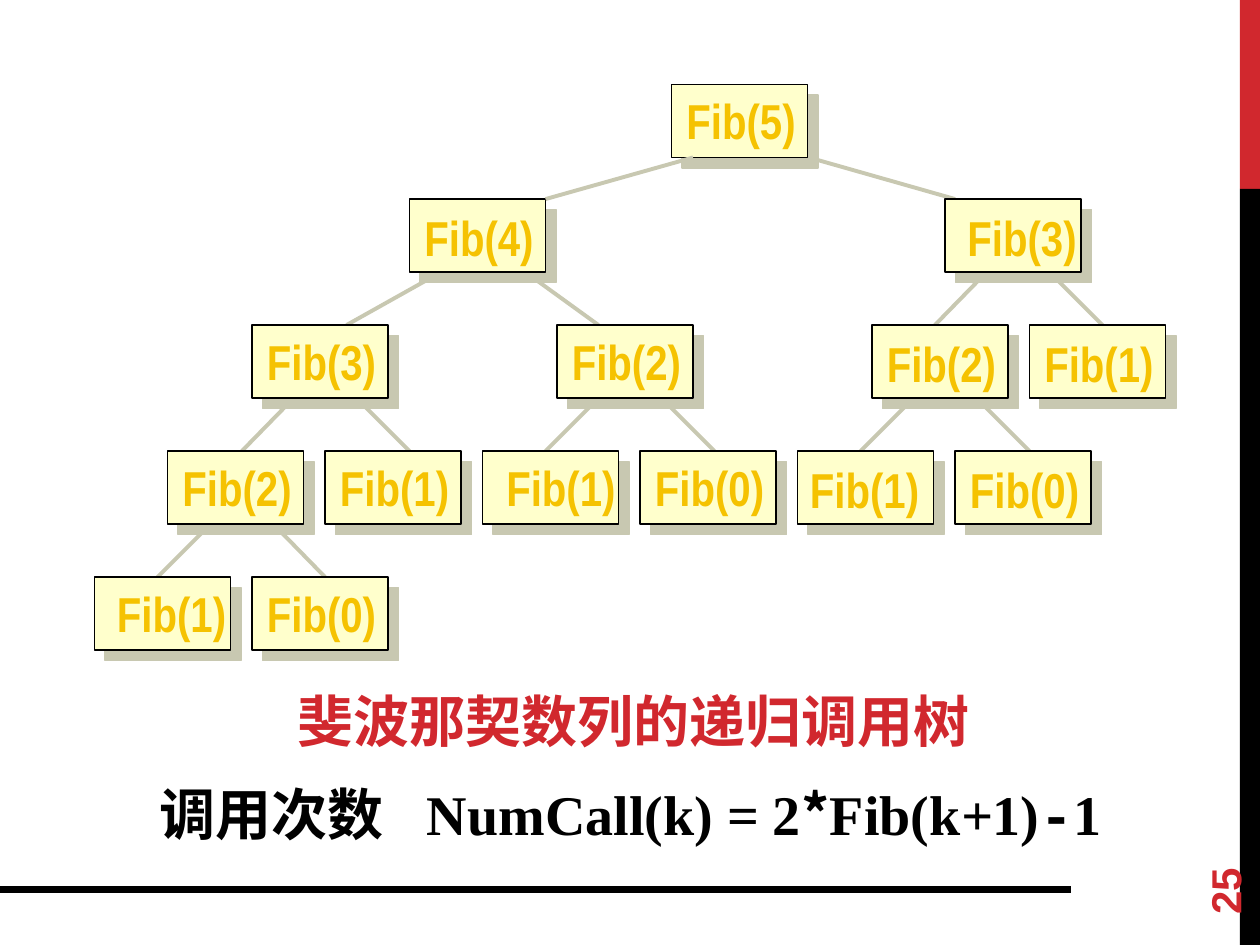
from dataclasses import dataclass
from typing import NamedTuple

from lxml.etree import SubElement
from pptx import Presentation
from pptx.dml.color import RGBColor
from pptx.enum.shapes import MSO_CONNECTOR, MSO_SHAPE
from pptx.enum.text import MSO_ANCHOR, MSO_AUTO_SIZE, PP_ALIGN
from pptx.oxml.ns import qn
from pptx.util import Inches, Pt


@dataclass(frozen=True)
class Theme:
    """Colours, fonts and sizes of the slide."""
    red: str = "D1282E"
    black: str = "000000"
    cream: str = "FFFFCC"
    gold: str = "F5C201"
    stone: str = "C8C8B1"
    sans: str = "Arial"
    narrow: str = "Arial Narrow"
    serif: str = "Times New Roman"
    mono: str = "Courier New"
    chinese: str = "Noto Sans CJK SC"
    number_size: int = 24
    node_size: int = 28
    text_size: int = 32
    gap_size: int = 36
    outline: float = 0.75
    branch: float = 2.25
    rule: float = 4.5
    shadow_distance: float = 8.5
    shadow_angle: int = 45


class Node(NamedTuple):
    """One call in the tree, with its label offset and incoming branch."""
    number: int
    row: int
    left: float
    label_shift: tuple = (0.02, 0)
    branch: tuple = ()


ROW_TOPS = (0.67, 1.58, 2.58, 3.58, 4.58)
NODE_WIDTH, NODE_HEIGHT = 1.08, 0.58
NODES = (
    Node(5, 0, 5.33),
    Node(4, 1, 3.25, (0.02, 0.02), (5.5, 4.33)),
    Node(3, 1, 7.5, (0.08, 0.02), (6.42, 7.58)),
    Node(3, 2, 2, branch=(3.5, 2.75)),
    Node(2, 2, 4.42, branch=(4.17, 4.75)),
    Node(2, 2, 6.92, (0.02, 0.02), (7.83, 7.42)),
    Node(1, 2, 8.17, (0.02, 0.02), (8.33, 8.75)),
    Node(2, 3, 1.33, branch=(2.33, 1.92)),
    Node(1, 3, 2.58, branch=(2.83, 3.25)),
    Node(1, 3, 3.83, (0.09, 0), (4.75, 4.33)),
    Node(0, 3, 5.08, branch=(5.25, 5.67)),
    Node(1, 3, 6.33, (0, 0.02), (7.25, 6.83)),
    Node(0, 3, 7.58, (0.02, 0.02), (7.75, 8.17)),
    Node(1, 4, 0.75, (0.08, 0), (1.67, 1.25)),
    Node(0, 4, 2, branch=(2.17, 2.58)),
)


def apply(target, values):
    """Set each named attribute on the target."""
    for name, value in values.items():
        setattr(target, name, value)


class SlideBuilder:
    """Holds the theme and the current slide."""

    def __init__(self, slide, theme):
        self.slide = slide
        self.theme = theme

    def styled_run(self, paragraph, text, **values):
        """Add a bold run in the given format."""
        style = {"size": self.theme.text_size, "color": self.theme.black,
                 "name": self.theme.serif, "bold": True, "italic": False} | values
        run = paragraph.add_run()
        run.text = text
        run.font.color.rgb = RGBColor.from_string(style.pop("color"))
        apply(run.font, style | {"size": Pt(style["size"])})
        SubElement(run.font._element, qn("a:ea"), typeface=self.theme.chinese)

    def title(self, box, text):
        """Place and format the title."""
        shape = self.slide.shapes.title
        apply(shape, dict(zip(("left", "top", "width", "height"), map(Inches, box))))
        apply(shape.text_frame, {"word_wrap": True, "vertical_anchor": MSO_ANCHOR.TOP,
                                 "auto_size": MSO_AUTO_SIZE.SHAPE_TO_FIT_TEXT})
        paragraph = shape.text_frame.paragraphs[0]
        paragraph.alignment = PP_ALIGN.CENTER
        self.styled_run(paragraph, text, color=self.theme.red, name=self.theme.chinese)

    def text(self, box, runs, rotation=0, tab=None, **frame_values):
        """Add a text box of formatted runs."""
        shape = self.slide.shapes.add_textbox(*map(Inches, box))
        shape.rotation = rotation
        apply(shape.text_frame, {"word_wrap": True} | frame_values)
        paragraph = shape.text_frame.paragraphs[0]
        if tab:
            tabs = SubElement(paragraph._p.get_or_add_pPr(), qn("a:tabLst"))
            SubElement(tabs, qn("a:tab"), pos=str(Inches(tab)), algn="l")
        for content, values in runs:
            self.styled_run(paragraph, content, **values)

    def rectangle(self, box, fill):
        """Add a plain filled rectangle."""
        shape = self.slide.shapes.add_shape(MSO_SHAPE.RECTANGLE, *map(Inches, box))
        shape.shadow.inherit = False
        shape.fill.solid()
        shape.fill.fore_color.rgb = RGBColor.from_string(fill)
        shape.line.fill.background()
        return shape

    def line(self, start, end, color, width):
        """Add a straight line."""
        connector = self.slide.shapes.add_connector(
            MSO_CONNECTOR.STRAIGHT, *map(Inches, start + end))
        connector.line.color.rgb = RGBColor.from_string(color)
        connector.line.width = Pt(width)
        SubElement(connector._element.spPr, qn("a:effectLst"))

    def node_box(self, node):
        """Add the outlined box of a call with its hard shadow."""
        theme = self.theme
        shape = self.rectangle(
            (node.left, ROW_TOPS[node.row], NODE_WIDTH, NODE_HEIGHT), theme.cream)
        shape.line.color.rgb = RGBColor.from_string(theme.black)
        shape.line.width = Pt(theme.outline)
        effects = shape._element.spPr.find(qn("a:effectLst"))
        shadow = SubElement(effects, qn("a:outerShdw"), blurRad="0",
                            dist=str(Pt(theme.shadow_distance)),
                            dir=str(theme.shadow_angle * 60000),
                            algn="ctr", rotWithShape="0")
        SubElement(shadow, qn("a:srgbClr"), val=theme.stone)

    def node_label(self, node):
        """Add the label of a call."""
        shift_x, shift_y = node.label_shift
        box = (node.left + shift_x, ROW_TOPS[node.row] + shift_y, 1.07, 0.57)
        style = {"size": self.theme.node_size, "name": self.theme.narrow,
                 "color": self.theme.gold}
        self.text(box, [(f"Fib({node.number})", style)], word_wrap=False,
                  auto_size=MSO_AUTO_SIZE.SHAPE_TO_FIT_TEXT)

    def branch(self, node):
        """Add the line from the caller down to a call."""
        start, end = node.branch
        self.line((start, ROW_TOPS[node.row - 1] + NODE_HEIGHT),
                  (end, ROW_TOPS[node.row]), self.theme.stone, self.theme.branch)

    def tree(self, nodes):
        """Add the call tree, its first branch above the boxes."""
        root, first, *others = nodes
        for node in others:
            self.branch(node)
        for node in nodes:
            self.node_box(node)
        self.branch(first)
        for node in nodes:
            self.node_label(node)


def main():
    """Build and save the slide."""
    presentation = Presentation()
    apply(presentation, {"slide_width": Inches(10), "slide_height": Inches(7.5)})
    theme = Theme()
    builder = SlideBuilder(
        presentation.slides.add_slide(presentation.slide_layouts[5]), theme)
    builder.rectangle((9.84, 0, 0.16, 1.5), theme.red)
    builder.rectangle((9.84, 1.5, 0.16, 6), theme.black)
    builder.line((0, 7.06), (8.5, 7.06), theme.black, theme.rule)
    number_style = {"size": theme.number_size, "name": theme.sans, "color": theme.red}
    builder.text((9, 6.44, 1.44, 0.4), [("25", number_style)], rotation=270,
                 vertical_anchor=MSO_ANCHOR.MIDDLE)
    builder.title((1.28, 5.4, 7.5, 0.63), "斐波那契数列的递归调用树")
    formula = [
        ("调用次数", {}),
        ("\t", {"size": theme.gap_size, "italic": True}),
        ("NumCall(k) = 2", {}),
        ("*", {"name": theme.chinese}),
        ("Fib(k", {}),
        ("+", {"italic": True}),
        ("1)", {}),
        ("-", {"name": theme.mono}),
        ("1", {}),
    ]
    builder.text((1.17, 6.08, 8.24, 0.7), formula, tab=2.12,
                 auto_size=MSO_AUTO_SIZE.SHAPE_TO_FIT_TEXT)
    builder.tree(NODES)
    presentation.save("out.pptx")


if __name__ == "__main__":
    main()
